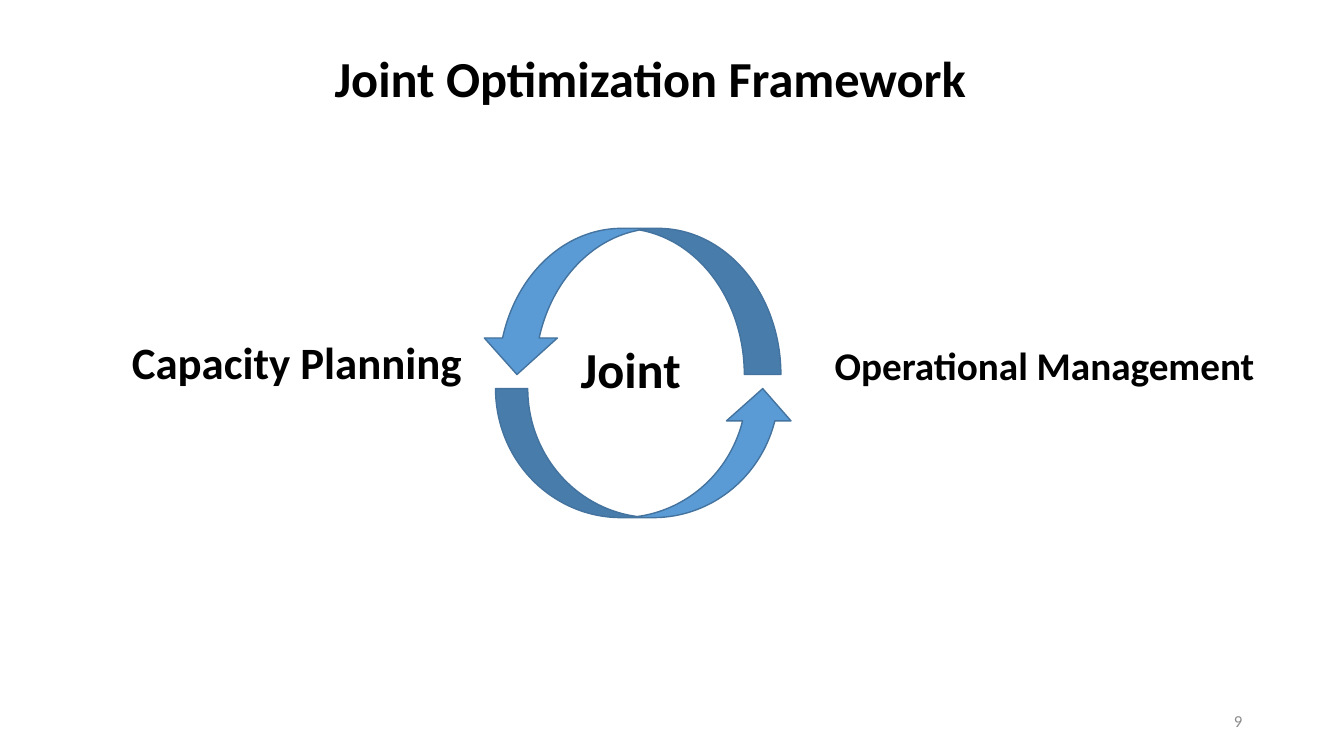
from pptx import Presentation
from pptx.dml.color import RGBColor
from pptx.enum import shapes, text
from pptx.util import Inches, Pt

# Content: wording, box (left, top, width, height), format
HUES = {"ink": "000000", "gray": "8C8C8C", "blue": "5B9BD5", "edge": "43739E"}
LABELS = [
    ("Capacity Planning", (1.21, 3.27, 4.02, 0.64), dict(size=32)),
    ("Operational Management", (8.18, 3.34, 4.92, 0.57), dict(size=28)),
    ("Joint", (5.66, 3.3, 1.21, 0.71), dict(size=36, wrap=False)),
    ("9", (9.42, 6.95, 3, 0.4),
     dict(size=12, bold=False, hue="gray", align=text.PP_ALIGN.RIGHT,
          anchor=text.MSO_ANCHOR.MIDDLE)),
    ("Joint Optimization Framework", (3.22, 0.42, 8.2, 0.71), dict(size=36)),
]
# Arrows of the cycle: box, flipped or not
ARROWS = [
    ((5.76, 3.01, 1.28, 2.97), False),
    ((5.53, 1.5, 1.45, 2.98), True),
]

deck = Presentation()
deck.slide_width, deck.slide_height = Inches(13.33), Inches(7.5)
slide = deck.slides.add_slide(deck.slide_layouts[6])


def color(name):
    return RGBColor.from_string(HUES[name])


def label(words, box, size=32, bold=True, hue="ink", wrap=True,
          align=text.PP_ALIGN.LEFT, anchor=text.MSO_ANCHOR.TOP):
    frame = slide.shapes.add_textbox(*map(Inches, box)).text_frame
    frame.word_wrap = wrap
    frame.vertical_anchor = anchor
    para = frame.paragraphs[0]
    para.alignment = align
    run = para.add_run()
    run.text = words
    font = run.font
    font.name, font.size, font.bold = "Calibri", Pt(size), bold
    font.color.rgb = color(hue)


def arrow(box, flip):
    shape = slide.shapes.add_shape(
        shapes.MSO_SHAPE.CURVED_RIGHT_ARROW, *map(Inches, box))
    shape.rotation = 270
    shape.shadow.inherit = False
    shape.fill.solid()
    shape.fill.fore_color.rgb = color("blue")
    shape.line.color.rgb = color("edge")
    shape.line.width = Pt(1)
    if flip:
        for side in ("flipH", "flipV"):
            shape._element.spPr.xfrm.set(side, "1")


# Cycle first, text on top
for box, flip in ARROWS:
    arrow(box, flip)
for words, box, form in LABELS:
    label(words, box, **form)

deck.save("out.pptx")
